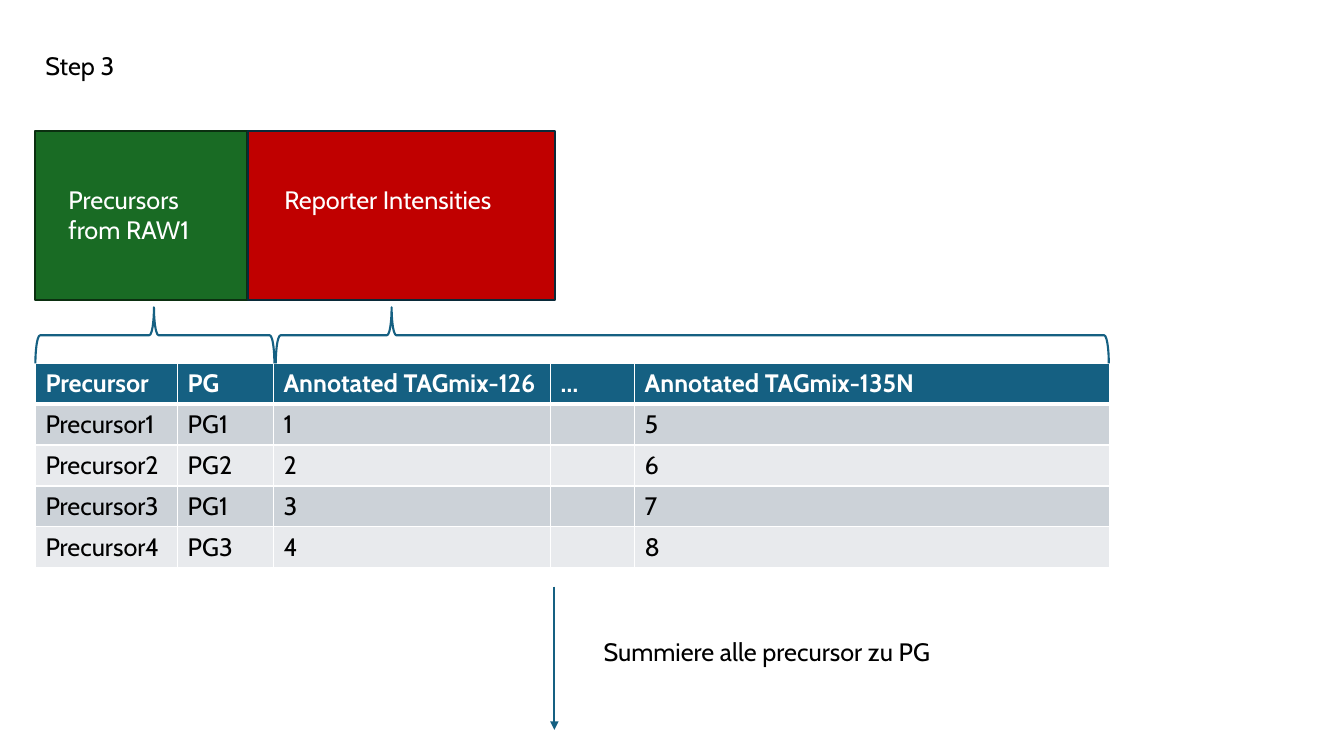
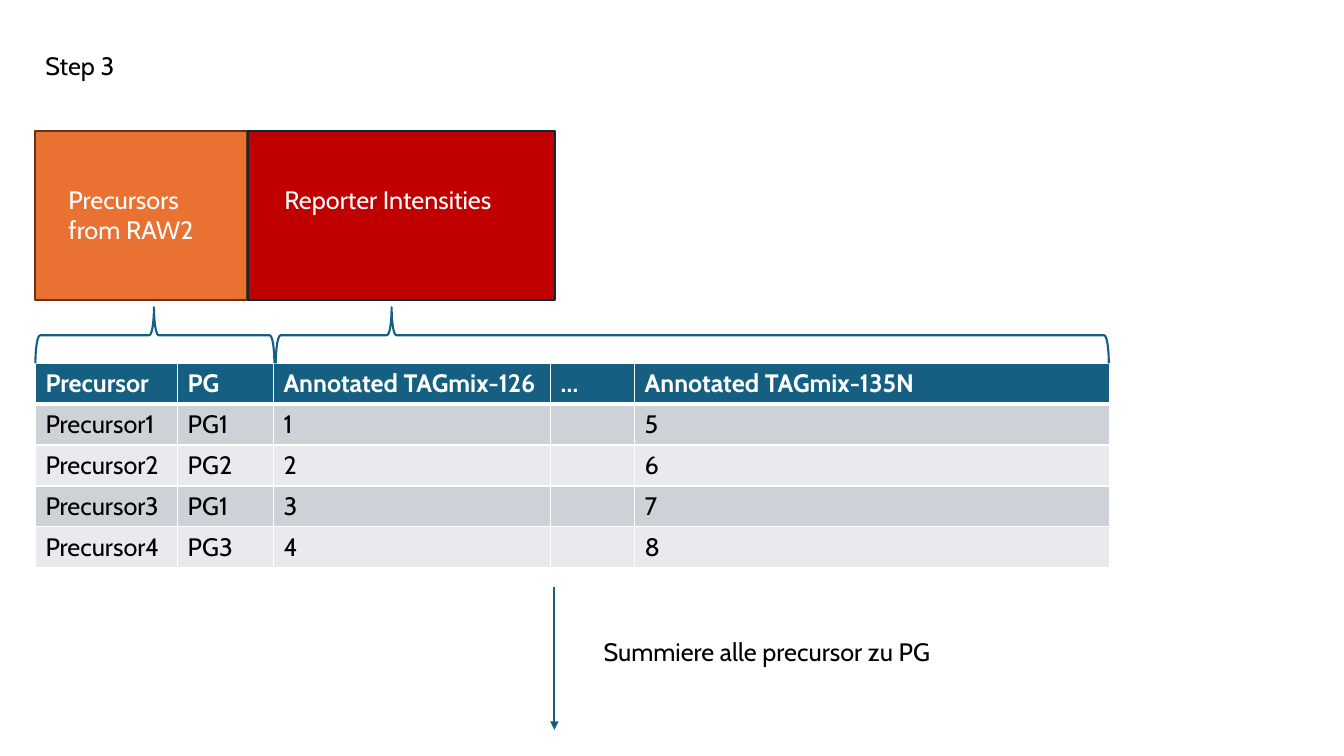
"""Build two slides that show how precursor tables are summed to protein groups."""
from lxml import etree
from pptx import Presentation
from pptx.dml.color import RGBColor
from pptx.enum.shapes import MSO_CONNECTOR, MSO_SHAPE
from pptx.enum.text import MSO_AUTO_SIZE
from pptx.oxml.ns import qn
from pptx.util import Pt

RECTANGLE = MSO_SHAPE.RECTANGLE
LEFT_BRACE = MSO_SHAPE.LEFT_BRACE
STRAIGHT = MSO_CONNECTOR.STRAIGHT
GROW = MSO_AUTO_SIZE.SHAPE_TO_FIT_TEXT

BLACK = RGBColor(0x00, 0x00, 0x00)
WHITE = RGBColor(0xFF, 0xFF, 0xFF)
BLUE = RGBColor(0x15, 0x60, 0x82)
DARK_BLUE = RGBColor(0x09, 0x2A, 0x39)
GREEN = RGBColor(0x19, 0x6B, 0x24)
DARK_GREEN = RGBColor(0x0B, 0x2F, 0x10)
ORANGE = RGBColor(0xE9, 0x71, 0x32)
DARK_ORANGE = RGBColor(0x66, 0x32, 0x16)
RED = RGBColor(0xC0, 0x00, 0x00)
BAND_DARK = RGBColor(0xCC, 0xD2, 0xD8)
BAND_LIGHT = RGBColor(0xE8, 0xEA, 0xED)

FONT = "Cabin"
FONT_SIZE = 18
LINE_WIDTH = 1.5
LEFT = 25.3
TABLE_TOP = 259.5
ROW_HEIGHT = 29.2
COLUMN_WIDTHS = [101.6, 68.4, 198, 60, 339]
TABLE_ROWS = [
    ["Precursor", "PG", "Annotated TAGmix-126", "…", "Annotated TAGmix-135N"],
    ["Precursor1", "PG1", "1", "", "5"],
    ["Precursor2", "PG2", "2", "", "6"],
    ["Precursor3", "PG1", "3", "", "7"],
    ["Precursor4", "PG3", "4", "", "8"],
]
RUNS = [("RAW1", GREEN, DARK_GREEN), ("RAW2", ORANGE, DARK_ORANGE)]


def style_paragraph(paragraph, color, bold=False):
    """Set the shared font on a paragraph."""
    font = paragraph.font
    font.name = FONT
    font.size = Pt(FONT_SIZE)
    font.bold = bold
    font.color.rgb = color


def add_text(slide, text, left, top, width, color=BLACK, height=29):
    """Add a wrapping text box."""
    box = slide.shapes.add_textbox(Pt(left), Pt(top), Pt(width), Pt(height))
    frame = box.text_frame
    frame.word_wrap = True
    frame.auto_size = GROW
    frame.text = text
    style_paragraph(frame.paragraphs[0], color)


def add_block(slide, left, width, fill, outline):
    """Add a coloured block of the upper row."""
    shape = slide.shapes.add_shape(RECTANGLE, Pt(left), Pt(93.6), Pt(width), Pt(121))
    shape.shadow.inherit = False
    shape.fill.solid()
    shape.fill.fore_color.rgb = fill
    shape.line.color.rgb = outline
    shape.line.width = Pt(LINE_WIDTH)


def add_brace(slide, left, width, tip):
    """Add a brace above the table that points up, with its tip at a share of its width."""
    depth = 40
    middle_x = left + width / 2
    middle_y = TABLE_TOP - depth / 2
    shape = slide.shapes.add_shape(
        LEFT_BRACE, Pt(middle_x - depth / 2), Pt(middle_y - width / 2), Pt(depth), Pt(width))
    shape.rotation = 90
    shape.adjustments[0] = 0.083
    shape.adjustments[1] = 1 - tip
    shape.shadow.inherit = False
    shape.fill.background()
    shape.line.color.rgb = BLUE
    shape.line.width = Pt(LINE_WIDTH)


def add_down_arrow(slide, x, top, bottom):
    """Add a vertical arrow that points down."""
    arrow = slide.shapes.add_connector(STRAIGHT, Pt(x), Pt(top), Pt(x), Pt(bottom))
    arrow.line.color.rgb = BLUE
    arrow.line.width = Pt(LINE_WIDTH)
    etree.SubElement(arrow.line._get_or_add_ln(), qn("a:tailEnd"), type="triangle")
    etree.SubElement(arrow._element.spPr, qn("a:effectLst"))


def set_borders(cell, top, bottom):
    """Draw white borders around a cell."""
    properties = cell._tc.get_or_add_tcPr()
    for side, width in (("L", 1), ("R", 1), ("T", top), ("B", bottom)):
        line = etree.SubElement(properties, qn(f"a:ln{side}"), w=str(Pt(width)))
        fill = etree.SubElement(line, qn("a:solidFill"))
        etree.SubElement(fill, qn("a:srgbClr"), val=str(WHITE))


def add_precursor_table(slide):
    """Add the banded table of precursors and intensities."""
    table = slide.shapes.add_table(
        len(TABLE_ROWS), len(COLUMN_WIDTHS), Pt(LEFT), Pt(TABLE_TOP),
        Pt(sum(COLUMN_WIDTHS)), Pt(ROW_HEIGHT * len(TABLE_ROWS))).table
    for column, width in zip(table.columns, COLUMN_WIDTHS):
        column.width = Pt(width)
    for index, texts in enumerate(TABLE_ROWS):
        table.rows[index].height = Pt(ROW_HEIGHT)
        header = index == 0
        band = BAND_DARK if index % 2 else BAND_LIGHT
        for cell, text in zip(table.rows[index].cells, texts):
            set_borders(cell, top=3 if index == 1 else 1, bottom=3 if header else 1)
            cell.fill.solid()
            cell.fill.fore_color.rgb = BLUE if header else band
            cell.text = text
            style_paragraph(cell.text_frame.paragraphs[0], WHITE if header else BLACK, header)


def add_step_slide(presentation, run_name, fill, outline):
    """Add the slide for one raw file."""
    slide = presentation.slides.add_slide(presentation.slide_layouts[6])
    add_text(slide, "Step 3", LEFT, 32.4, 209)
    add_block(slide, LEFT, 151.5, fill, outline)
    add_text(slide, f"Precursors from {run_name}", 41.8, 128.2, 130, WHITE, 51)
    add_block(slide, 177, 219.5, RED, DARK_BLUE)
    add_text(slide, "Reporter Intensities", 196, 128.2, 173, WHITE)
    add_precursor_table(slide)
    add_down_arrow(slide, 396, 419, 521.3)
    add_text(slide, "Summiere alle precursor zu PG", 424, 450.7, 326)
    add_brace(slide, LEFT, 170.7, 0.496)
    add_brace(slide, 197, 595, 0.139)


def main():
    """Build and save the presentation."""
    presentation = Presentation()
    presentation.slide_width = Pt(960)
    presentation.slide_height = Pt(540)
    for run_name, fill, outline in RUNS:
        add_step_slide(presentation, run_name, fill, outline)
    presentation.save("out.pptx")


if __name__ == "__main__":
    main()
